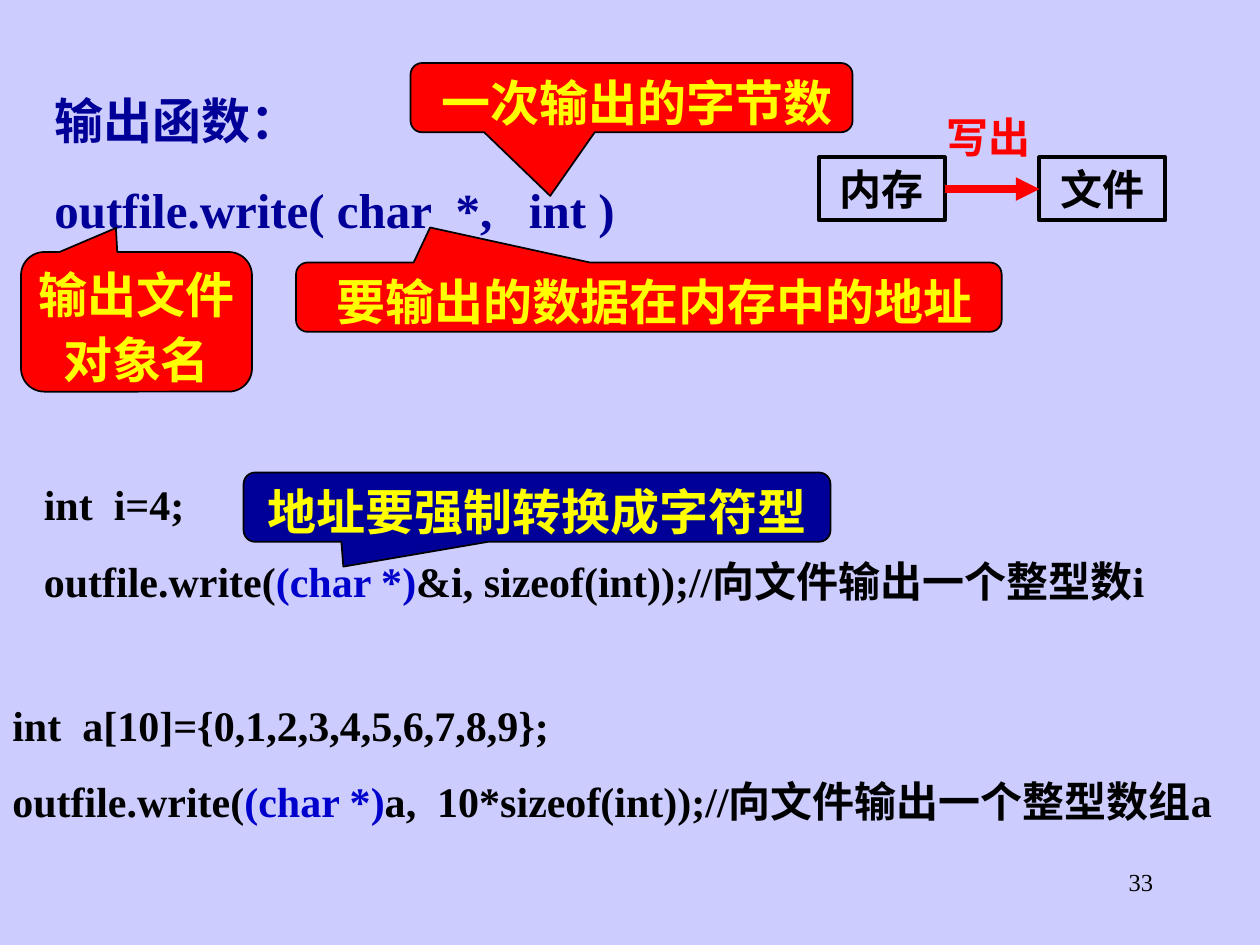
from lxml import etree
from pptx import Presentation
from pptx.dml.color import RGBColor
from pptx.enum.shapes import MSO_CONNECTOR, MSO_SHAPE
from pptx.enum.text import MSO_ANCHOR, PP_ALIGN
from pptx.oxml.ns import qn
from pptx.util import Inches, Pt

RECT = MSO_SHAPE.RECTANGLE
BUBBLE = MSO_SHAPE.ROUNDED_RECTANGULAR_CALLOUT
STRAIGHT = MSO_CONNECTOR.STRAIGHT
TOP = MSO_ANCHOR.TOP
LEFT, MID, RIGHT = PP_ALIGN.LEFT, PP_ALIGN.CENTER, PP_ALIGN.RIGHT
WIDE, HIGH = Inches(10), Inches(7.5)
COLS, ROWS = 120, 90
FONT = "Times New Roman"
BLACK, RED, NAVY, BLUE, GOLD = "000000", "FF0000", "000099", "0000CC", "FFFF00"


def color(code):
    """Turn a hex string into a colour."""
    return RGBColor.from_string(code)


def place(box):
    """Turn grid columns and rows into slide lengths."""
    sides = (WIDE / COLS, HIGH / ROWS) * 2
    return [round(n * side) for n, side in zip(box, sides)]


def write(shape, lines, size, align=LEFT, bold=True, gap=0, lead=None, wrap=True):
    """Fill a shape with paragraphs, each a list of (text, colour) runs."""
    frame = shape.text_frame
    frame.word_wrap = wrap
    frame.vertical_anchor = TOP
    for i, line in enumerate(lines):
        para = frame.add_paragraph() if i else frame.paragraphs[0]
        para.alignment = align
        para.space_before = Pt(gap if i else 0)
        if lead:
            para.line_spacing = lead
        for text, code in line:
            run = para.add_run()
            run.text = text
            run.font.name = FONT
            run.font.size = Pt(size)
            run.font.bold = bold
            run.font.color.rgb = color(code)


def label(slide, box, lines, size, **style):
    """Add a text box."""
    write(slide.shapes.add_textbox(*place(box)), lines, size, **style)


def panel(slide, kind, box, fill, width):
    """Add a black-edged shape, filled or clear."""
    shape = slide.shapes.add_shape(kind, *place(box))
    shape.shadow.inherit = False
    shape.line.color.rgb = color(BLACK)
    shape.line.width = Pt(width)
    if fill:
        shape.fill.solid()
        shape.fill.fore_color.rgb = color(fill)
    else:
        shape.fill.background()
    return shape


def callout(slide, box, text, tip, fill=RED, wrap=False):
    """Add a speech bubble whose tip is a share of its box."""
    shape = panel(slide, BUBBLE, box, fill, 1)
    for i, value in enumerate((*tip, 0.167)):
        shape.adjustments[i] = value
    frame = shape.text_frame
    frame.margin_left = frame.margin_right = Inches(0.02)
    frame.margin_top = frame.margin_bottom = 0
    write(shape, [[(text, GOLD)]], 28, align=MID, lead=1.1, wrap=wrap)


def flow(slide, box):
    """Draw memory on the left, file on the right and an arrow between."""
    x, y, w, h = box
    wide, high = 12, 6
    top = y + h - high
    for left, text in ((x + w - wide, "文件"), (x, "内存")):
        node = panel(slide, RECT, (left, top, wide, high), None, 2.25)
        write(node, [[(text, BLACK)]], 24, align=MID)
    row = top + high / 2
    start, end = place((x + wide, row)), place((x + w - wide, row))
    arrow = slide.shapes.add_connector(STRAIGHT, *start, *end)
    arrow.line.color.rgb = color(RED)
    arrow.line.width = Pt(4.5)
    tail = etree.SubElement(arrow.line._get_or_add_ln(), qn("a:tailEnd"))
    tail.set("type", "triangle")
    etree.SubElement(arrow._element.spPr, qn("a:effectLst"))
    label(slide, (x + wide - 1, y, 11, high), [[("写出", RED)]], 24)


def code(slide, box, first, rest):
    """Show a declaration and the write call that uses it."""
    call = [("outfile.write(", BLACK), ("(char *)", BLUE), (rest, BLACK)]
    label(slide, box, [[(first, BLACK)], call], 24, gap=15)


def syntax(slide, box):
    """Show the function's form with a bubble for each part."""
    x, y, w, h = box
    lines = [[("输出函数：", NAVY)], [("outfile.write( char  *,   int )", NAVY)]]
    label(slide, box, lines, 28, gap=17.5)
    callout(slide, (x - 2, y + 16, 22, 13.3), "输出文件对象名", (-0.089, -0.672), wrap=True)
    callout(slide, (x + 24.2, y + 17, 67.2, 6.6), " 要输出的数据在内存中的地址", (-0.31, -1.006))
    callout(slide, (x + 35.1, y - 2, 42.1, 6.6), " 一次输出的字节数", (-0.184, 1.418))


def main():
    """Build the slide and save it."""
    deck = Presentation()
    deck.slide_width, deck.slide_height = WIDE, HIGH
    slide = deck.slides.add_slide(deck.slide_layouts[6])
    back = slide.background.fill
    back.solid()
    back.fore_color.rgb = color("CCCCFF")
    label(slide, (86, 82, 25, 6), [[("33", BLACK)]], 14, align=RIGHT, bold=False)
    syntax(slide, (4, 8, 82, 15.4))
    flow(slide, (78, 10, 33, 11))
    code(slide, (0, 66, 120, 13.3), "int  a[10]={0,1,2,3,4,5,6,7,8,9};",
         "a,  10*sizeof(int));//向文件输出一个整型数组a")
    code(slide, (3, 45, 113, 13.3), "int  i=4;",
         "&i, sizeof(int));//向文件输出一个整型数i")
    callout(slide, (23.2, 45, 55.9, 6.6), "地址要强制转换成字符型", (-0.33, 0.858), fill=NAVY)
    deck.save("out.pptx")


if __name__ == "__main__":
    main()
